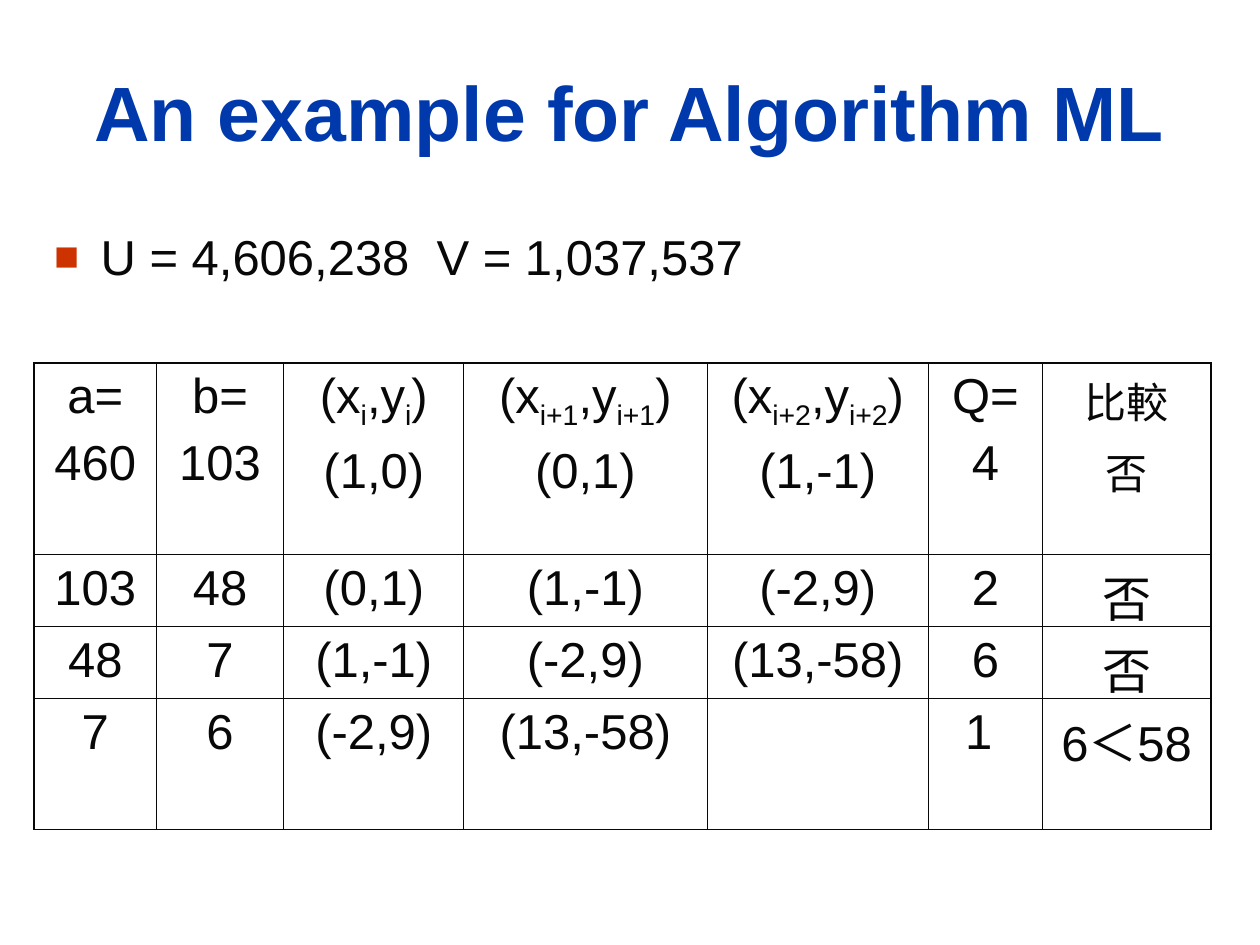
import enum

import pptx
import pptx.dml.color
import pptx.enum.text
import pptx.oxml
import pptx.oxml.ns
import pptx.util
from pptx.util import Cm


class Theme(enum.Enum):
    FONT = "Arial"
    TITLE = "0039AC"
    TEXT = "080808"
    BULLET = "CC3300"
    TITLE_SIZE = 44
    BODY_SIZE = 28
    HAN_SIZE = 24


NS = pptx.oxml.ns.nsdecls("a")
ALIGN = pptx.enum.text.PP_ALIGN


def write(p, text, size=Theme.BODY_SIZE, color=Theme.TEXT, bold=False,
          align=ALIGN.CENTER, before=0):
    """Fill a paragraph; text between underscores becomes a subscript."""
    p.alignment = align
    p.space_before = pptx.util.Pt(before)
    for i, part in enumerate(text.split("_")):
        r = p.add_run()
        r.text = part
        r.font.name = Theme.FONT.value
        r.font.size = pptx.util.Pt(size.value)
        r.font.bold = bold
        r.font.color.rgb = pptx.dml.color.RGBColor.from_string(color.value)
        if i % 2:
            r._r.get_or_add_rPr().set("baseline", "-25000")


prs = pptx.Presentation()
prs.slide_width, prs.slide_height = Cm(25.4), Cm(19.05)
s = prs.slides.add_slide(prs.slide_layouts[6])

# Title
tf = s.shapes.add_textbox(Cm(0.84), Cm(0.64), Cm(23.72), Cm(3.18)).text_frame
tf.word_wrap = True
tf.vertical_anchor = pptx.enum.text.MSO_ANCHOR.MIDDLE
write(tf.paragraphs[0], "An example for Algorithm ML",
      size=Theme.TITLE_SIZE, color=Theme.TITLE, bold=True)

# Bulleted inputs
tf = s.shapes.add_textbox(Cm(0.84), Cm(4.45), Cm(23.72), Cm(4.88)).text_frame
tf.word_wrap = True
p = tf.paragraphs[0]
write(p, "U = 4,606,238  V = 1,037,537", align=ALIGN.LEFT)
pPr = p._p.get_or_add_pPr()
pPr.set("marL", str(Cm(0.94)))
pPr.set("indent", str(-Cm(0.94)))
for xml in (f'<a:buClr {NS}><a:srgbClr val="{Theme.BULLET.value}"/></a:buClr>',
            f'<a:buSzPct {NS} val="85000"/>',
            f'<a:buFont {NS} typeface="{Theme.FONT.value}"/>',
            f'<a:buChar {NS} char="■"/>'):
    pPr.append(pptx.oxml.parse_xml(xml))

# Steps of the algorithm
rows = [
    ["a=\n460", "b=\n103", "(x_i_,y_i_)\n(1,0)", "(x_i+1_,y_i+1_)\n(0,1)",
     "(x_i+2_,y_i+2_)\n(1,-1)", "Q=\n4", "比較\n否"],
    ["103", "48", "(0,1)", "(1,-1)", "(-2,9)", "2", "否"],
    ["48", "7", "(1,-1)", "(-2,9)", "(13,-58)", "6", "否"],
    ["7", "6", "(-2,9)", "(13,-58)", "", "1 ", "6＜58"],
]
widths = [2.46, 2.57, 3.63, 4.9, 4.47, 2.29, 3.4]
heights = [3.86, 1.45, 1.45, 2.64]
last_row, last_col = len(heights) - 1, len(widths) - 1

table = s.shapes.add_table(len(heights), len(widths), Cm(0.69), Cm(7.32),
                           Cm(sum(widths)), Cm(sum(heights))).table
table.first_row = table.horz_banding = False
for column, width in zip(table.columns, widths):
    column.width = Cm(width)
for row, height in zip(table.rows, heights):
    row.height = Cm(height)

for i, texts in enumerate(rows):
    for j, text in enumerate(texts):
        cell = table.cell(i, j)
        outer = {"lnL": j == 0, "lnR": j == last_col,
                 "lnT": i == 0, "lnB": i == last_row}
        for side, is_outer in outer.items():
            width = pptx.util.Pt(1.08 if is_outer else 0.45)
            cell._tc.get_or_add_tcPr().append(pptx.oxml.parse_xml(
                f'<a:{side} {NS} w="{width}"><a:solidFill>'
                f'<a:srgbClr val="{Theme.TEXT.value}"/>'
                f'</a:solidFill></a:{side}>'))
        cell.fill.background()
        size = Theme.HAN_SIZE if (i, j) == (0, last_col) else Theme.BODY_SIZE
        tf = cell.text_frame
        for k, line in enumerate(text.split("\n")):
            p = tf.add_paragraph() if k else tf.paragraphs[0]
            write(p, line, size=size, before=size.value / 4 if k else 0)

prs.save("out.pptx")
